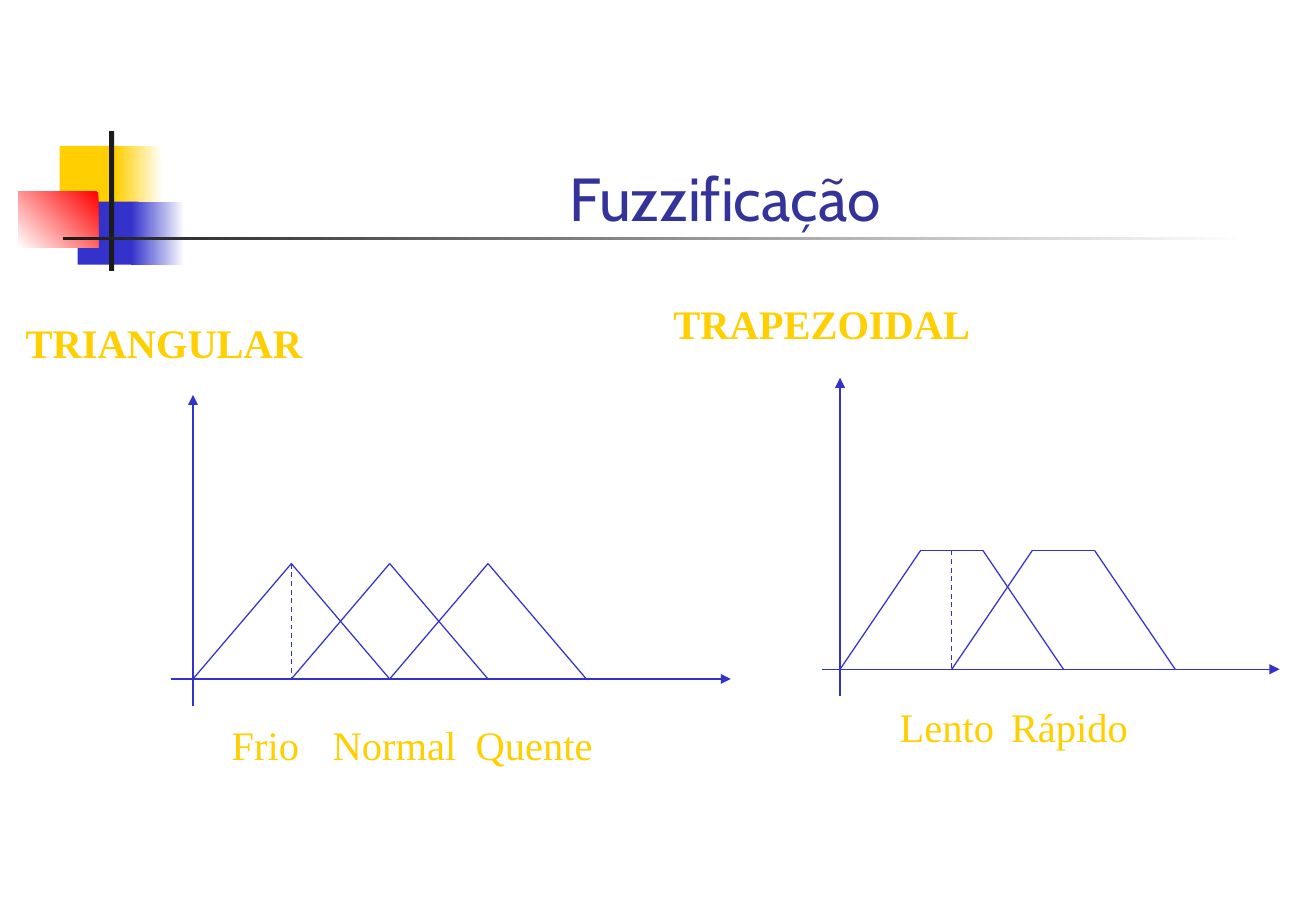
import pptx
import pptx.util
import pptx.dml.color
import pptx.enum.dml
import pptx.enum.shapes
import pptx.enum.text
import pptx.oxml
import pptx.oxml.ns

Inches = pptx.util.Inches
COLORS = {
    "yellow": "FFCF01",
    "blue": "3333CC",
    "red": "FF0000",
    "white": "FFFFFF",
    "black": "1C1C1C",
    "title": "333399",
}


def rgb(color):
    return pptx.dml.color.RGBColor.from_string(COLORS[color])


def add_block(shapes, box, colors, angle=180):
    block = shapes.add_shape(
        pptx.enum.shapes.MSO_SHAPE.RECTANGLE, *map(Inches, box))
    block.shadow.inherit = False
    block.line.fill.background()
    if len(colors) == 1:
        block.fill.solid()
        block.fill.fore_color.rgb = rgb(colors[0])
        return
    block.fill.gradient()
    block.fill.gradient_angle = angle
    for stop, position, color in zip(block.fill.gradient_stops, (0, 1), colors):
        stop.position = position
        stop.color.rgb = rgb(color)


def add_label(shapes, box, text, font, layout):
    frame = shapes.add_textbox(*map(Inches, box)).text_frame
    for name, value in layout.items():
        setattr(frame, name, value)
    paragraph = frame.paragraphs[0]
    paragraph.alignment = pptx.enum.text.PP_ALIGN.CENTER
    run = paragraph.add_run()
    run.text = text
    for name, value in font.items():
        if name == "color":
            run.font.color.rgb = rgb(value)
        else:
            setattr(run.font, name, value)


def add_line(shapes, start, end, dashed=False, arrow=False):
    line = shapes.add_connector(
        pptx.enum.shapes.MSO_CONNECTOR.STRAIGHT, *map(Inches, (*start, *end)))
    line.line.color.rgb = rgb("blue")
    line.line.width = pptx.util.Pt(0.75)
    if dashed:
        line.line.dash_style = pptx.enum.dml.MSO_LINE.DASH
    if arrow:
        tail = pptx.oxml.parse_xml(
            f'<a:tailEnd {pptx.oxml.ns.nsdecls("a")} type="triangle"/>')
        line.line._get_or_add_ln().append(tail)
    line._element.spPr.append(pptx.oxml.parse_xml(
        f'<a:effectLst {pptx.oxml.ns.nsdecls("a")}/>'))


def draw_ornament(shapes, left, top):
    blocks = [
        (0.34, 0.12, 0.52, 0.52, ["yellow"], 180),
        (0.8, 0.12, 0.39, 0.52, ["white", "yellow"], 180),
        (0.49, 0.58, 0.5, 0.52, ["blue"], 180),
        (0.93, 0.58, 0.44, 0.52, ["white", "blue"], 180),
        (0, 0.5, 0.66, 0.46, ["red", "white"], 225),
        (0.75, 0, 0.04, 1.15, ["black"], 180),
        (0.37, 0.87, 9.75, 0.03, ["white", "black"], 180),
    ]
    for x, y, width, height, colors, angle in blocks:
        add_block(shapes, (left + x, top + y, width, height), colors, angle)


def draw_title(shapes, box):
    font = {"name": "Cabin", "size": pptx.util.Pt(36), "color": "title"}
    layout = {"word_wrap": True,
              "vertical_anchor": pptx.enum.text.MSO_ANCHOR.BOTTOM}
    add_label(shapes, box, "Fuzzificação", font, layout)


def draw_membership(shapes, box, origin, heading, sets, half_base, plateau, peak):
    left, top, width, height = box
    origin_x, base = left + origin[0], top + origin[1]
    crest = base - peak
    diagram = shapes.add_group_shape().shapes
    font = {"name": "Times New Roman", "size": pptx.util.Pt(24), "color": "yellow"}
    layout = {"word_wrap": False,
              "auto_size": pptx.enum.text.MSO_AUTO_SIZE.SHAPE_TO_FIT_TEXT}

    heading_x, heading_y, heading_width = heading["place"]
    add_label(diagram, (left + heading_x, top + heading_y, heading_width, 0.5),
              heading["text"], {**font, "bold": True}, layout)
    add_line(diagram, (origin_x, top + height), (origin_x, top), arrow=True)
    add_line(diagram, (left, base), (left + width, base), arrow=True)

    for index, (name, label_x, label_width) in enumerate(sets["labels"]):
        start = origin_x + index * half_base
        center = start + half_base
        outline = [(start, base), (center - plateau / 2, crest)]
        if plateau:
            outline.append((center + plateau / 2, crest))
        outline.append((center + half_base, base))
        for begin, end in zip(outline, outline[1:]):
            add_line(diagram, begin, end)
        add_label(diagram, (left + label_x, top + sets["y"], label_width, 0.5),
                  name, font, layout)

    first_center = origin_x + half_base
    add_line(diagram, (first_center, crest), (first_center, base), dashed=True)


def main():
    deck = pptx.Presentation()
    deck.slide_width, deck.slide_height = Inches(10.84), Inches(7.5)
    shapes = deck.slides.add_slide(deck.slide_layouts[6]).shapes

    draw_ornament(shapes, 0.15, 1.08)
    draw_membership(
        shapes, (1.41, 3.25, 4.61, 2.56), (0.18, 2.34),
        {"text": "TRIANGULAR", "place": (-1.32, -0.68, 2.52)},
        {"y": 2.63, "labels": [("Frio", 0.38, 0.79), ("Normal", 1.21, 1.26),
                               ("Quente", 2.39, 1.2)]},
        half_base=0.81, plateau=0, peak=0.95)
    draw_membership(
        shapes, (6.77, 3.11, 3.77, 2.62), (0.15, 2.4),
        {"text": "TRAPEZOIDAL", "place": (-1.34, -0.7, 2.68)},
        {"y": 2.62, "labels": [("Lento", 0.52, 1.02), ("Rápido", 1.44, 1.2)]},
        half_base=0.92, plateau=0.51, peak=0.98)
    draw_title(shapes, (1.36, 0.37, 9.23, 1.6))
    deck.save("out.pptx")


if __name__ == "__main__":
    main()
